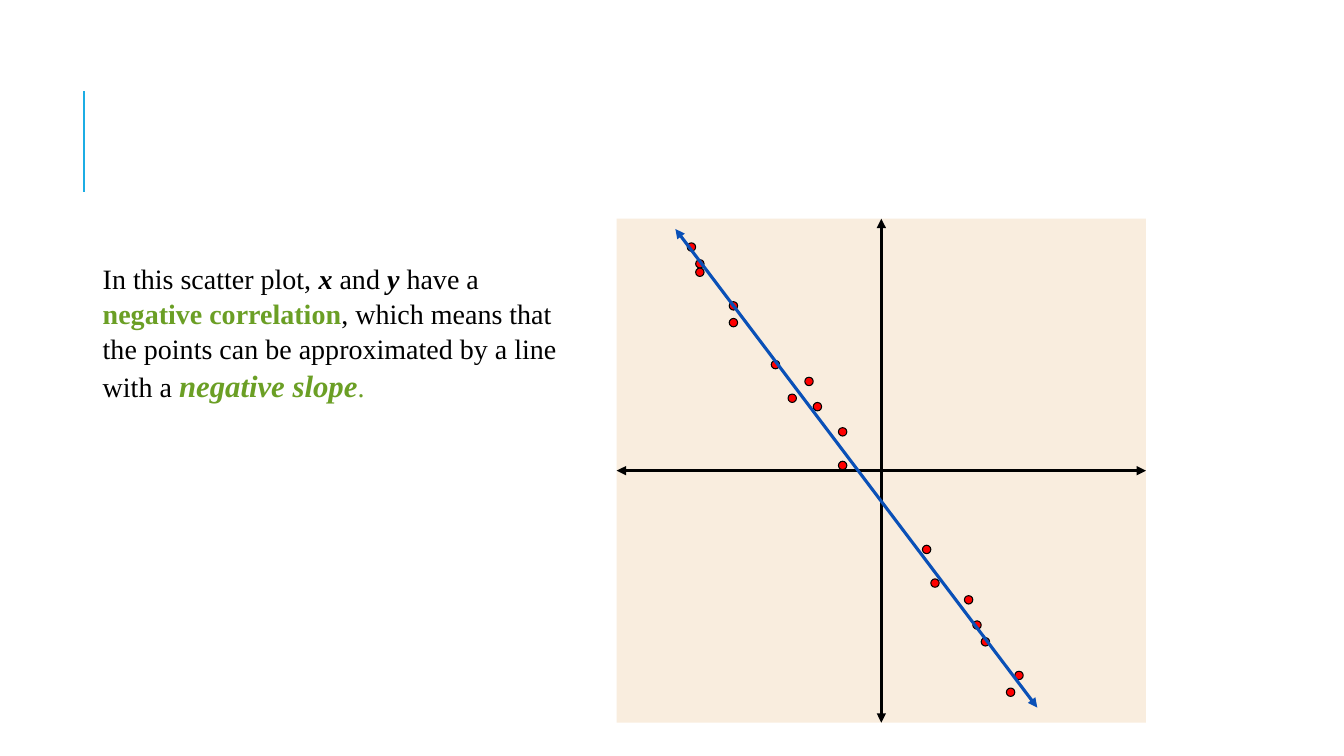
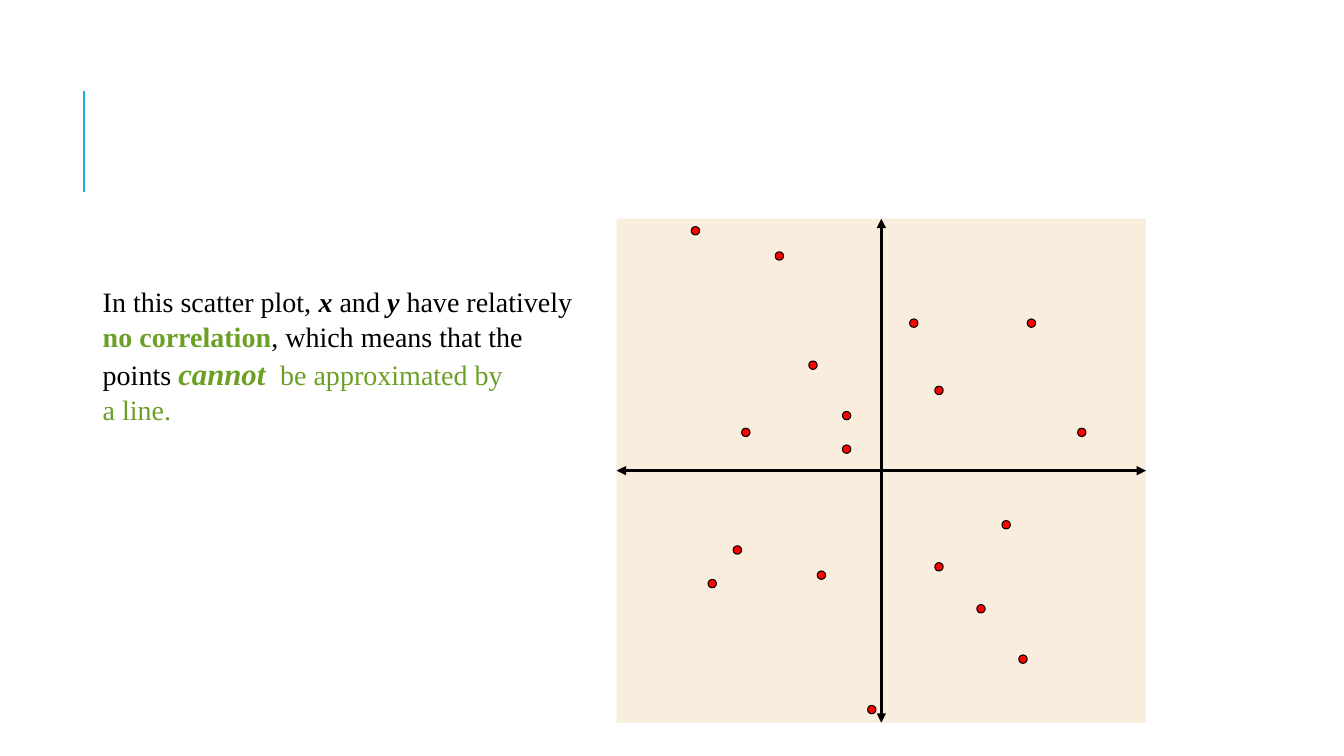
from pptx import Presentation
from pptx.dml.color import RGBColor
from pptx.enum.shapes import MSO_CONNECTOR, MSO_SHAPE
from pptx.enum.text import MSO_ANCHOR
from pptx.oxml.ns import qn
from pptx.util import Cm, Pt
from lxml.etree import SubElement

BLACK = RGBColor(0x00, 0x00, 0x00)
RED = RGBColor(0xFF, 0x00, 0x00)
GREEN = RGBColor(0x6B, 0x9F, 0x25)
BLUE = RGBColor(0x0A, 0x50, 0xB7)
CYAN = RGBColor(0x1C, 0xAD, 0xE4)
CREAM = RGBColor(0xF9, 0xED, 0xDE)
FONT = "Times New Roman"

STYLES = {
    "body": (20, BLACK, False, False),
    "variable": (20, BLACK, True, True),
    "term": (20, GREEN, True, False),
    "stress": (22, GREEN, True, True),
    "green": (20, GREEN, False, False),
}

ACCENT = (2.11, 4.83, 2.11, 2.29)
PLOT = (15.54, 5.51, 13.34, 12.7)
STEP = 2.54 / 12

INTRO = [
    ("In this scatter plot, ", "body"),
    ("x", "variable"),
    (" and ", "body"),
    ("y", "variable"),
]

SLIDES = [
    {
        "box": (2.34, 6.43, 12.09, 3.76),
        "anchor": MSO_ANCHOR.TOP,
        "lines": [INTRO + [
            (" have a ", "body"),
            ("negative correlation", "term"),
            (", which means that the points can be approximated by a line with a ", "body"),
            ("negative slope", "stress"),
            (".", "green"),
        ]],
        "origin": (17.32, 6.12),
        "points": [(0, 0), (1, 2), (1, 3), (5, 7), (5, 9), (10, 14),
                   (14, 16), (12, 18), (15, 19), (18, 22), (18, 26), (28, 36),
                   (29, 40), (33, 42), (34, 45), (35, 47), (39, 51), (38, 53)],
        "trend": (26.14, 17.83, 17.02, 5.77),
    },
    {
        "box": (2.34, 7.06, 12.62, 3.76),
        "anchor": MSO_ANCHOR.MIDDLE,
        "lines": [INTRO + [
            (" have relatively ", "body"),
            ("no correlation", "term"),
            (", which means that the points ", "body"),
            ("cannot ", "stress"),
            (" be approximated by ", "green"),
        ], [("a line.", "green")]],
        "origin": (17.42, 5.71),
        "points": [(0, 0), (10, 3), (26, 11), (40, 11), (14, 16), (29, 19),
                   (18, 22), (6, 24), (46, 24), (18, 26), (37, 35), (5, 38),
                   (29, 40), (15, 41), (2, 42), (34, 45), (39, 51), (21, 57)],
        "trend": None,
    },
]


def add_line(shapes, ends, color, width, arrows=True):
    line = shapes.add_connector(MSO_CONNECTOR.STRAIGHT, *[Cm(v) for v in ends])
    line.line.color.rgb = color
    line.line.width = Pt(width)
    if arrows:
        ln = line.line._get_or_add_ln()
        for end in ("a:headEnd", "a:tailEnd"):
            SubElement(ln, qn(end), type="triangle")
    SubElement(line._element.spPr, qn("a:effectLst"))
    return line


def add_filled(shapes, kind, box, fill):
    sp = shapes.add_shape(kind, *[Cm(v) for v in box])
    sp.shadow.inherit = False
    sp.fill.solid()
    sp.fill.fore_color.rgb = fill
    sp.line.fill.background()
    return sp


def add_plane(slide):
    shapes = slide.shapes.add_group_shape().shapes
    plane = add_filled(shapes, MSO_SHAPE.RECTANGLE, PLOT, CREAM)
    x, y, w, h = PLOT
    axes = [
        ((x + w / 2, y, x + w / 2, y + h), 0, 2),
        ((x, y + h / 2, x + w, y + h / 2), 1, 3),
    ]
    for ends, start, stop in axes:
        axis = add_line(shapes, ends, BLACK, 2.25)
        axis.begin_connect(plane, start)
        axis.end_connect(plane, stop)


def add_points(slide, origin, points):
    shapes = slide.shapes.add_group_shape().shapes
    left, top = origin
    for col, row in points:
        box = (left + col * STEP, top + row * STEP, STEP, STEP)
        dot = add_filled(shapes, MSO_SHAPE.OVAL, box, RED)
        dot.line.color.rgb = BLACK
        dot.line.width = Pt(0.75)


def add_statement(slide, box, anchor, lines):
    tf = slide.shapes.add_textbox(*[Cm(v) for v in box]).text_frame
    tf.word_wrap = True
    tf.vertical_anchor = anchor
    p = tf.paragraphs[0]
    p.line_spacing = 1.04
    for i, runs in enumerate(lines):
        if i:
            p.add_line_break()
        for text, style in runs:
            r = p.add_run()
            r.text = text
            size, color, r.font.bold, r.font.italic = STYLES[style]
            r.font.name = FONT
            r.font.size = Pt(size)
            r.font.color.rgb = color


def main():
    prs = Presentation()
    prs.slide_width, prs.slide_height = Cm(33.87), Cm(19.05)
    layout = prs.slide_layouts[6]
    slides = [prs.slides.add_slide(layout) for _ in SLIDES]
    accent = add_line(slides[0].shapes, ACCENT, CYAN, 1.5, arrows=False)
    layout.shapes.element.append(accent._element)

    for slide, data in zip(slides, SLIDES):
        add_plane(slide)
        add_points(slide, data["origin"], data["points"])
        if data["trend"]:
            add_line(slide.shapes, data["trend"], BLUE, 2.25)
        add_statement(slide, data["box"], data["anchor"], data["lines"])
    prs.save("out.pptx")


if __name__ == "__main__":
    main()
